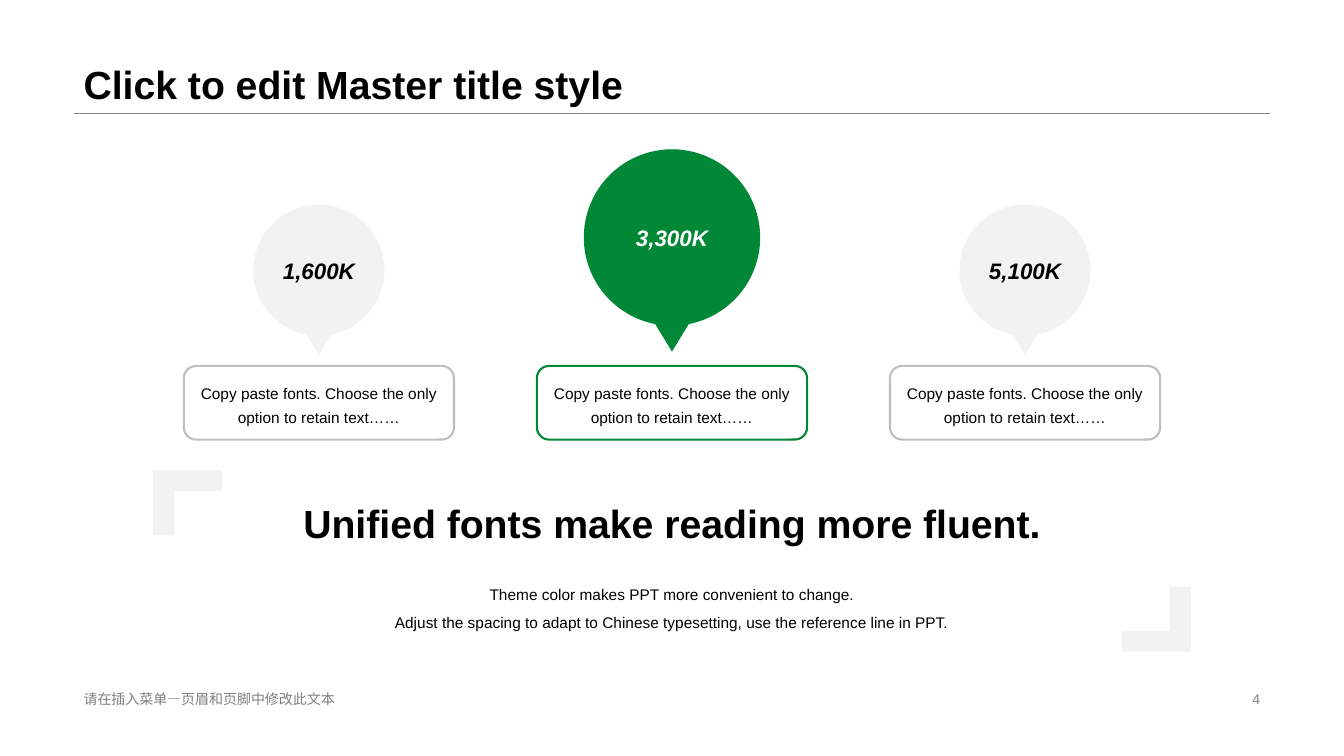
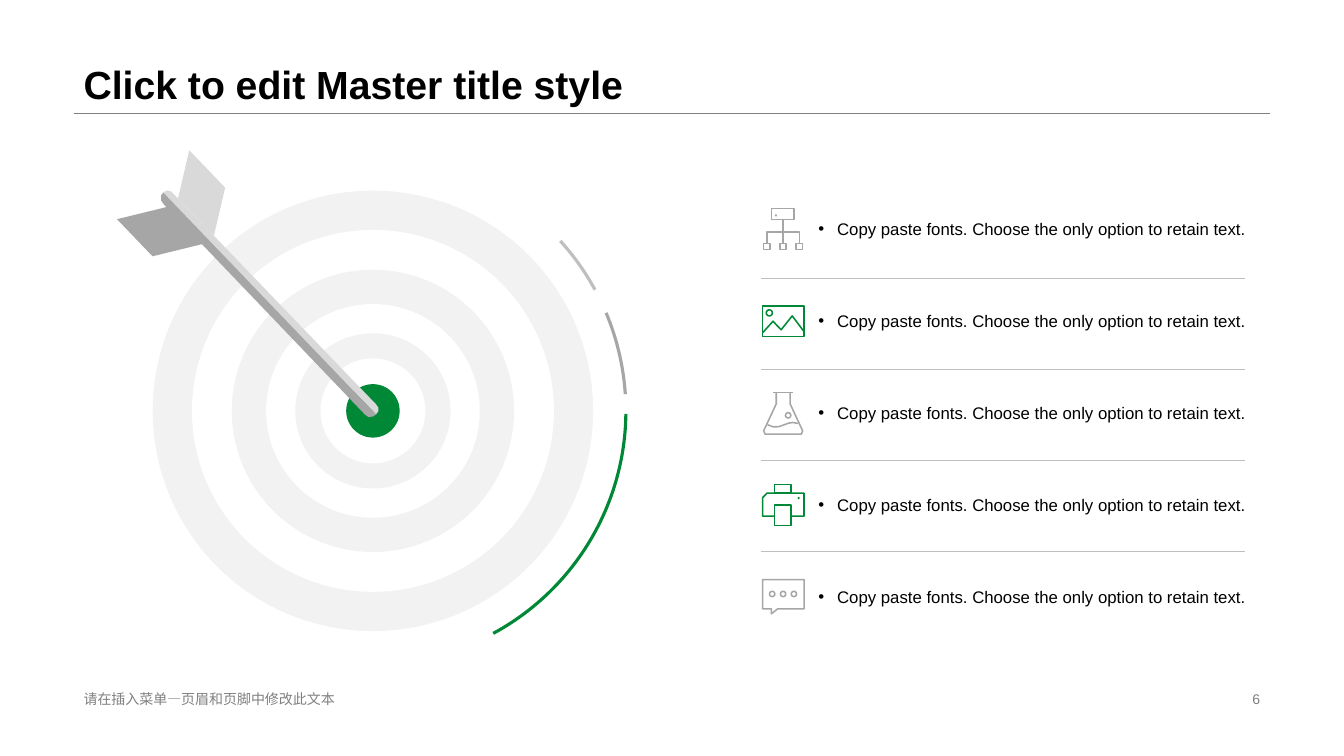
from lxml.etree import SubElement
from pptx import Presentation
from pptx.dml.color import RGBColor
from pptx.enum.shapes import MSO_CONNECTOR as Connector
from pptx.enum.shapes import MSO_SHAPE as Shape
from pptx.enum.text import MSO_ANCHOR as Anchor
from pptx.enum.text import PP_ALIGN as Align
from pptx.oxml.ns import qn
from pptx.util import Pt

# Shared look
FONT = "Arial"
BLACK, WHITE, GREEN = "000000", "FFFFFF", "008837"
PALE, LIGHT, SILVER, MID, GRAY = "F2F2F2", "D9D9D9", "BFBFBF", "A6A6A6", "808080"
TITLE_STYLE = {"size": Pt(28), "bold": True}
BODY_STYLE = {"size": Pt(11)}
FOOTER_STYLE = {"size": Pt(10)}
WIDTH, HEIGHT = 960, 540
MARGIN, CONTENT_WIDTH = 52.6, 854.6


def rgb(code):
    return RGBColor.from_string(code)


def apply_format(target, values):
    for name, value in values.items():
        setattr(target, name, value)


def write(shape, lines, style, color=BLACK, align=Align.LEFT,
          anchor=Anchor.MIDDLE, spacing=None):
    """Fill a shape with one paragraph per line."""
    frame = shape.text_frame
    apply_format(frame, {"word_wrap": True, "vertical_anchor": anchor})
    for number, line in enumerate(lines):
        paragraph = frame.paragraphs[0] if number == 0 else frame.add_paragraph()
        apply_format(paragraph, {"alignment": align, "line_spacing": spacing})
        run = paragraph.add_run()
        run.text = line
        apply_format(run.font, {"name": FONT, **style})
        run.font.color.rgb = rgb(color)


def add_text(slide, box, lines, style, **options):
    label = slide.shapes.add_textbox(*map(Pt, box))
    write(label, lines, style, **options)
    return label


def paint(shape, fill=None, line=None, weight=1):
    shape.shadow.inherit = False
    if fill:
        shape.fill.solid()
        shape.fill.fore_color.rgb = rgb(fill)
    else:
        shape.fill.background()
    if line:
        shape.line.color.rgb = rgb(line)
        shape.line.width = Pt(weight)
    else:
        shape.line.fill.background()
    return shape


def add_preset(slide, kind, box, adjust=(), flip=None, rotation=0, **look):
    shape = slide.shapes.add_shape(kind, *map(Pt, box))
    for number, value in enumerate(adjust):
        shape.adjustments[number] = value
    shape.rotation = rotation
    if flip:
        shape.element.spPr.find(qn("a:xfrm")).set(flip, "1")
    return paint(shape, **look)


def add_circle(slide, center, diameter, **look):
    x, y = center
    box = (x - diameter / 2, y - diameter / 2, diameter, diameter)
    return add_preset(slide, Shape.OVAL, box, **look)


def add_outline(slide, origin, contours, closed, **look):
    """Draw contours, given relative to the origin, as one freeform."""
    left, top = origin
    builder = None
    for contour in contours:
        start, *rest = [(Pt(left + x), Pt(top + y)) for x, y in contour]
        if builder is None:
            builder = slide.shapes.build_freeform(*start)
        else:
            builder.move_to(*start)
        builder.add_line_segments(rest, close=closed)
    return paint(builder.convert_to_shape(), **look)


def add_rule(slide, left, y, width, color):
    rule = slide.shapes.add_connector(
        Connector.STRAIGHT, Pt(left), Pt(y), Pt(left + width), Pt(y))
    rule.line.color.rgb = rgb(color)
    rule.line.width = Pt(0.25)
    SubElement(rule.element.spPr, qn("a:effectLst"))


def add_framed_slide(deck, number):
    """Title, rule and footer that every slide carries."""
    slide = deck.slides.add_slide(deck.slide_layouts[6])
    title_height = 80.8
    add_rule(slide, MARGIN, title_height, CONTENT_WIDTH, GRAY)
    add_text(slide, (MARGIN, 0, CONTENT_WIDTH, title_height),
             ["Click to edit Master title style"], TITLE_STYLE,
             anchor=Anchor.BOTTOM, spacing=0.9)
    add_text(slide, (MARGIN, 491, 326, 16.6),
             ["请在插入菜单—页眉和页脚中修改此文本"], FOOTER_STYLE, color=GRAY)
    add_text(slide, (678.2, 491, 229, 16.6), [number], FOOTER_STYLE,
             color=GRAY, align=Align.RIGHT)
    return slide


# Figures slide
def add_figure(slide, box, figure, diameter, bubble_gap, fill, border, color):
    """Captioned box with a speech bubble centred above it."""
    left, top, width, _ = box
    caption = add_preset(slide, Shape.ROUNDED_RECTANGLE, box,
                         fill=WHITE, line=border, weight=1.5)
    write(caption, ["Copy paste fonts. Choose the only option to retain text……"],
          BODY_STYLE, align=Align.CENTER, spacing=1.3)
    bubble_box = (left + (width - diameter) / 2, top - bubble_gap - diameter,
                  diameter, diameter)
    bubble = add_preset(slide, Shape.OVAL_CALLOUT, bubble_box, (0, 0.647), fill=fill)
    write(bubble, [figure], {"size": Pt(16), "bold": True, "italic": True},
          color=color, align=Align.CENTER)


def add_statement(slide, box):
    """Headline and details between two corner brackets."""
    left, top, width, height = box
    bracket_width, bracket_height = 49.3, 46.4
    brackets = [(left, top, "flipV"),
                (left + width - bracket_width, top + height - bracket_height, "flipH")]
    for x, y, flip in brackets:
        add_preset(slide, Shape.CORNER, (x, y, bracket_width, bracket_height),
                   (0.317, 0.331), flip=flip, fill=PALE)
    inset, headline_top, headline_height = 56.4, top + 6.6, 61.2
    text_width = width - 2 * inset
    add_text(slide, (left + inset, headline_top, text_width, headline_height),
             ["Unified fonts make reading more fluent."], TITLE_STYLE,
             align=Align.CENTER)
    add_text(slide, (left + inset, headline_top + headline_height, text_width, 54.7),
             ["Theme color makes PPT more convenient to change.",
              "Adjust the spacing to adapt to Chinese typesetting, "
              "use the reference line in PPT."],
             BODY_STYLE, align=Align.CENTER, spacing=1.5)


def build_figures_slide(deck):
    slide = add_framed_slide(deck, "4")
    box_width, pitch = 193, 252.2
    side = (93.6, 21.6, PALE, SILVER, BLACK)
    middle = (126, 28.8, GREEN, GREEN, WHITE)
    figures = [("1,600K", side), ("3,300K", middle), ("5,100K", side)]
    for column, (figure, look) in enumerate(figures):
        left = WIDTH / 2 + (column - 1) * pitch - box_width / 2
        add_figure(slide, (left, 261.4, box_width, 52.6), figure, *look)
    add_statement(slide, (109.2, 336, 741.6, 129.4))


# Target slide
SHAFT_LIGHT = [(-149.8, -156), (2.2, 2.5), (3.8, 0.3), (3.8, -2.4), (2.2, -4.7),
               (-142.6, -155.2), (-144.5, -157), (-147.5, -157.4)]
SHAFT_DARK = [(-149.8, -156), (2.2, 2.5), (0, 4), (-3.2, 4.4), (-5.8, 2.5),
              (-149.8, -148), (-151.4, -150.5), (-151.4, -153.8)]


def add_target(slide, center):
    """Rings, outer arcs and an arrow, all placed from the bullseye."""
    x, y = center
    arc_size = 361.4
    arcs = [(337.2, 356.2, MID), (0.7, 61.6, GREEN), (317.8, 331.4, SILVER)]
    for start, end, color in arcs:
        # Adjustments count 0.6 per degree
        add_preset(slide, Shape.ARC,
                   (x - arc_size / 2, y - arc_size / 2, arc_size, arc_size),
                   (start * 0.6, end * 0.6), line=color, weight=2.25)
    for ring, diameter in enumerate((314.6, 258.5, 201.6, 152.6, 110.9, 74.9)):
        add_circle(slide, center, diameter, fill=WHITE if ring % 2 else PALE)
    add_circle(slide, center, 38.2, fill=GREEN)
    # Arrow: shaft halves, then feathers
    for half, color in ((SHAFT_LIGHT, LIGHT), (SHAFT_DARK, MID)):
        add_outline(slide, center, [half], True, fill=color)
    add_preset(slide, Shape.PARALLELOGRAM, (x - 179.3, y - 145.2, 56.2, 33.8),
               (0.578,), rotation=46.2, fill=MID)
    add_preset(slide, Shape.PARALLELOGRAM, (x - 150.5, y - 170.4, 56.2, 29.5),
               (0.651,), flip="flipV", rotation=226.2, fill=LIGHT)


def rectangle(left, top, right, bottom):
    return [(left, top), (right, top), (right, bottom), (left, bottom), (left, top)]


# Each icon: strokes, then circles as (x, y, diameter)
BRANCHES = (3.4, 15.1, 26.7)
ORG_CHART = (
    [rectangle(6.8, 0.5, 23, 8.6), [(15.1, 8.6), (15.1, 25.6)],
     [(3.4, 25.6), (3.4, 17.3), (26.7, 17.3), (26.7, 25.6)]]
    + [rectangle(x - 2.2, 25.6, x + 2.2, 30) for x in BRANCHES],
    [(10, 5.6, 0.4)])
LANDSCAPE = (
    [rectangle(0.5, 4.5, 30.1, 26.5),
     [(0.6, 23.6), (7.9, 15.5), (13.7, 21.6), (21.6, 11.7), (30, 22.8)]],
    [(5.2, 9.5, 4.4)])
FLASK = (
    [[(7.9, 0.6), (22.3, 0.6)],
     [(10.2, 0.6), (10.2, 8.8), (1.2, 28), (2.2, 30.4), (28.1, 30.4), (29, 28),
      (20.1, 8.8), (20.1, 0.6)],
     [(3.9, 23.7), (8, 25.2), (12, 25.1), (15.4, 23.9), (19, 22.6), (22, 22.1),
      (25.7, 22.8)]],
    [(18.7, 17, 3.8)])
PRINTER = (
    [rectangle(9, 0.5, 20.9, 6.8), rectangle(9, 15.5, 20.9, 29.9),
     [(9, 23.3), (0.5, 23.3), (0.5, 10), (3.6, 6.8), (30, 6.8), (30, 23.3),
      (20.9, 23.3)]],
    [(26.2, 10.4, 0.4)])
CHAT = (
    [[(0.5, 2.9), (30.1, 2.9), (30.1, 23.8), (11.2, 23.8), (6.8, 27.3),
      (6.8, 23.8), (0.5, 23.8), (0.5, 2.9)]],
    [(x, 13.2, 3.8) for x in (7.3, 15.1, 22.8)])


def add_icon(slide, origin, icon, color):
    strokes, circles = icon
    look = {"line": color, "weight": 1.1}
    add_outline(slide, origin, strokes, False, **look)
    left, top = origin
    for x, y, diameter in circles:
        add_circle(slide, (left + x, top + y), diameter, **look)


def add_bullet(paragraph):
    properties = paragraph._p.get_or_add_pPr()
    for name, value in {"marL": Pt(13.5), "indent": -Pt(13.5)}.items():
        properties.set(name, str(value))
    SubElement(properties, qn("a:buFont")).set("typeface", FONT)
    SubElement(properties, qn("a:buChar")).set("char", "•")


def add_icon_list(slide, box):
    """Rows of icon and bullet, with a rule between neighbours."""
    left, top, width, row_pitch = box
    icons = (ORG_CHART, LANDSCAPE, FLASK, PRINTER, CHAT)
    for row, icon in enumerate(icons):
        row_top = top + row * row_pitch
        if row:
            add_rule(slide, left, top - 13.9 + row * 65, width, SILVER)
        point = add_text(slide, (left + 33.8, row_top, 329.8, 31.7),
                         ["Copy paste fonts. Choose the only option to retain text."],
                         {"size": Pt(12)})
        add_bullet(point.text_frame.paragraphs[0])
        add_icon(slide, (left + 0.7, row_top + 0.7), icon, GREEN if row % 2 else MID)


def build_target_slide(deck):
    slide = add_framed_slide(deck, "6")
    add_target(slide, (266.4, 293.5))
    add_icon_list(slide, (543.6, 147.6, 345.6, 65.7))


def main():
    deck = Presentation()
    apply_format(deck, {"slide_width": Pt(WIDTH), "slide_height": Pt(HEIGHT)})
    build_figures_slide(deck)
    build_target_slide(deck)
    deck.save("out.pptx")


if __name__ == "__main__":
    main()
